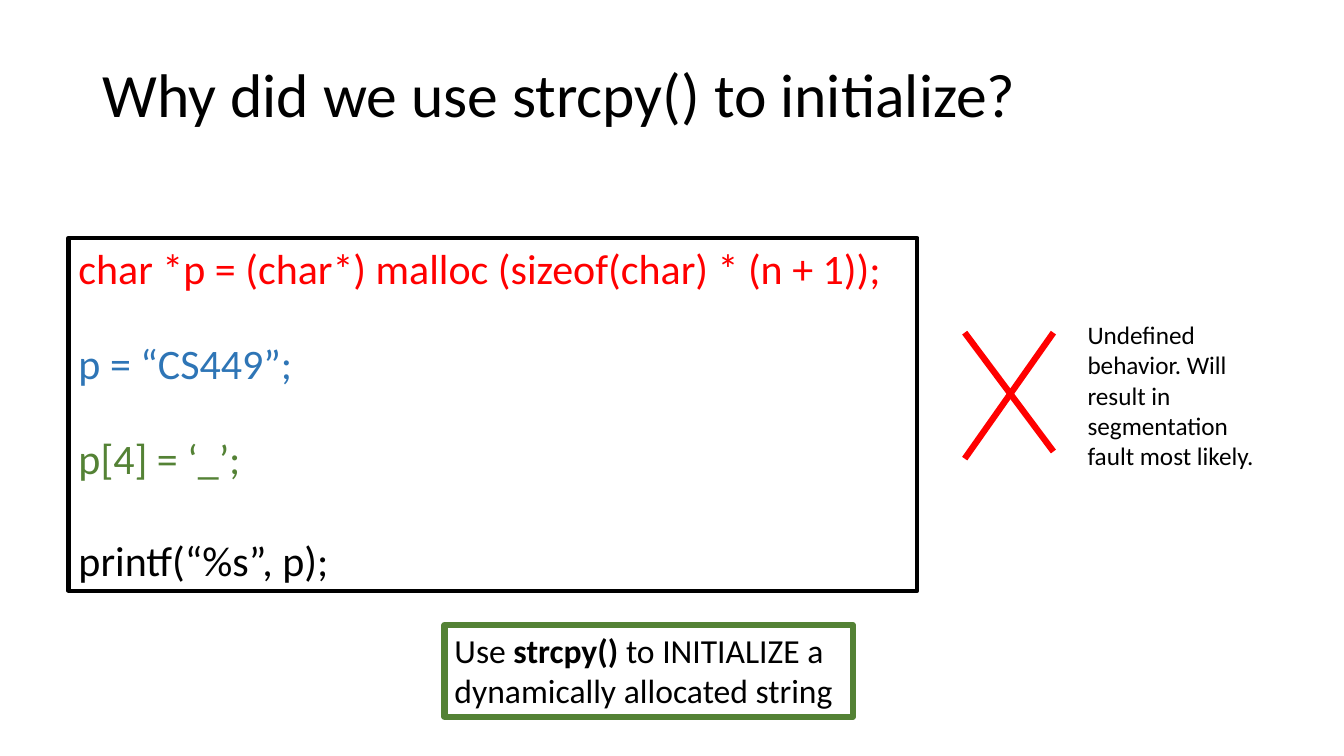
from lxml import etree
from pptx import Presentation
from pptx import util as u
from pptx.dml.color import RGBColor
from pptx.enum import shapes, text
from pptx.oxml import ns

WIDTH, HEIGHT = u.Inches(13.33), u.Inches(7.5)
BLACK, RED, BLUE, GREEN = "000000", "FF0000", "2E75B6", "548235"
CODE = [
    ("char *p = (char*) malloc (sizeof(char) * (n + 1));", RED, 0),
    ("p = “CS449”;", BLUE, 31.7),
    ("p[4] = ‘_’;", GREEN, 31.7),
    ("printf(“%s”, p);", BLACK, 36.6),
]


def color(value):
    return RGBColor.from_string(value)


def across(percent):
    return round(WIDTH * percent / 100)


def down(percent):
    return round(HEIGHT * percent / 100)


def place(left, top, width, height):
    return across(left), down(top), across(width), down(height)


def add_span(para, words, size=18, ink=BLACK, bold=False):
    span = para.add_run()
    span.text = words
    span.font.name = "Calibri"
    span.font.size = u.Pt(size)
    span.font.bold = bold
    span.font.color.rgb = color(ink)


def set_frame(box, anchor=text.MSO_ANCHOR.TOP):
    frame = box.text_frame
    frame.word_wrap = True
    frame.vertical_anchor = anchor
    frame.paragraphs[0].alignment = text.PP_ALIGN.LEFT
    return frame


def add_label(page, area, words, size, **anchor):
    box = page.shapes.add_textbox(*place(*area))
    para = set_frame(box, **anchor).paragraphs[0]
    add_span(para, words, size)
    return para


def add_outlined_box(page, area, ink, weight):
    box = page.shapes.add_shape(shapes.MSO_SHAPE.RECTANGLE, *place(*area))
    box.shadow.inherit = False
    box.fill.background()
    box.line.color.rgb = color(ink)
    box.line.width = u.Pt(weight)
    return set_frame(box)


def add_code(page):
    frame = add_outlined_box(page, (5.1, 31.47, 63.15, 46.67), BLACK, 3)
    for index, (words, ink, gap) in enumerate(CODE):
        para = frame.add_paragraph() if index else frame.paragraphs[0]
        para.alignment = text.PP_ALIGN.LEFT
        para.space_before = u.Pt(gap)
        add_span(para, words, 30, ink)


def add_advice(page):
    frame = add_outlined_box(page, (33.08, 82.67, 30.38, 12.13), GREEN, 4.5)
    para = frame.paragraphs[0]
    add_span(para, "Use ", 24)
    add_span(para, "strcpy() ", 24, bold=True)
    add_span(para, "to INITIALIZE a dynamically allocated string", 24)


def add_stroke(page, start, end):
    stroke = page.shapes.add_connector(
        shapes.MSO_CONNECTOR.STRAIGHT,
        across(start[0]), down(start[1]), across(end[0]), down(end[1]))
    stroke.line.color.rgb = color(RED)
    stroke.line.width = u.Pt(4.5)
    etree.SubElement(stroke._element.spPr, ns.qn("a:effectLst"))


def add_cross(page, left, right, top):
    add_stroke(page, (right, top), (left, 60.67))
    add_stroke(page, (left, top), (right, 59.73))


def main():
    deck = Presentation()
    deck.slide_width, deck.slide_height = WIDTH, HEIGHT
    page = deck.slides.add_slide(deck.slide_layouts[6])
    title = add_label(page, (6.9, 3.2, 86.25, 19.33),
                      "Why did we use strcpy() to initialize?", 44,
                      anchor=text.MSO_ANCHOR.MIDDLE)
    title.line_spacing = 0.9
    add_code(page)
    add_cross(page, 71.78, 78.38, 44)
    add_label(page, (80.18, 41.6, 14.78, 21.6),
              "Undefined behavior. Will result in segmentation fault most likely.", 18)
    add_advice(page)
    deck.save("out.pptx")


if __name__ == "__main__":
    main()
